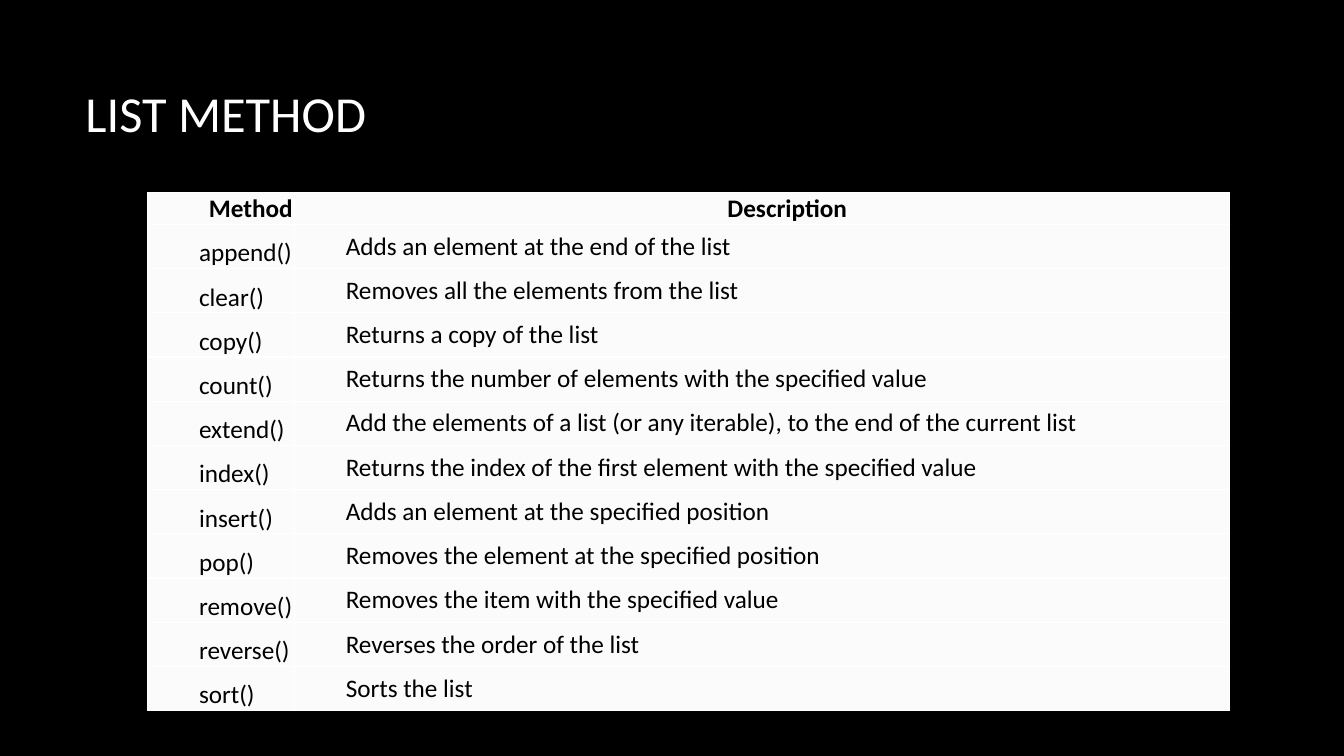
from dataclasses import dataclass

from lxml import etree
from pptx import Presentation
from pptx.dml.color import RGBColor
from pptx.enum.text import MSO_ANCHOR, PP_ALIGN
from pptx.oxml.ns import qn
from pptx.util import Pt

TOP, MIDDLE, BOTTOM = MSO_ANCHOR.TOP, MSO_ANCHOR.MIDDLE, MSO_ANCHOR.BOTTOM
LEFT, CENTER = PP_ALIGN.LEFT, PP_ALIGN.CENTER


@dataclass(frozen=True)
class Theme:
    """Colours, font and type sizes of the slide."""
    background: str = "000000"
    title: str = "FFFFFF"
    text: str = "000000"
    cell: str = "FBFBFB"
    border: str = "FFFFFF"
    font: str = "Calibri"
    title_size: float = 36
    table_size: float = 18


THEME = Theme()
HEADINGS = ("Method", "Description")
METHODS = (
    ("append()", "Adds an element at the end of the list"),
    ("clear()", "Removes all the elements from the list"),
    ("copy()", "Returns a copy of the list"),
    ("count()", "Returns the number of elements with the specified value"),
    ("extend()", "Add the elements of a list (or any iterable), to the end of the current list"),
    ("index()", "Returns the index of the first element with the specified value"),
    ("insert()", "Adds an element at the specified position"),
    ("pop()", "Removes the element at the specified position"),
    ("remove()", "Removes the item with the specified value"),
    ("reverse()", "Reverses the order of the list"),
    ("sort()", "Sorts the list"),
)
COLUMN_WIDTHS = (104.8, 668)
HEADER_HEIGHT, ROW_HEIGHT = 23, 31.6
INDENT = 36


def write_text(frame, text, *, size, color, bold=False, align=LEFT, indent=0):
    """Write one formatted paragraph into a text frame."""
    paragraph = frame.paragraphs[0]
    paragraph.alignment = align
    if indent:
        paragraph.level = 1
        properties = paragraph._p.get_or_add_pPr()
        properties.set("marL", str(Pt(indent)))
        properties.set("indent", "0")
    run = paragraph.add_run()
    run.text = text
    run.font.name = THEME.font
    run.font.size = Pt(size)
    run.font.bold = bold
    run.font.color.rgb = RGBColor.from_string(color)


def add_title(slide, text):
    """Add the slide title, centred vertically in its box."""
    title = slide.shapes.add_textbox(Pt(54), Pt(23), Pt(798), Pt(114.5))
    title.text_frame.word_wrap = True
    title.text_frame.vertical_anchor = MIDDLE
    write_text(title.text_frame, text, size=THEME.title_size, color=THEME.title)


def set_borders(cell):
    """Draw a thin line on all four sides of a cell."""
    properties = cell._tc.get_or_add_tcPr()
    for side in ("lnL", "lnR", "lnT", "lnB"):
        line = etree.SubElement(properties, qn(f"a:{side}"), w=str(Pt(1)))
        fill = etree.SubElement(line, qn("a:solidFill"))
        etree.SubElement(fill, qn("a:srgbClr"), val=THEME.border)


def fill_cell(cell, text, margins, anchor=TOP, **text_format):
    """Set text, margins, borders and fill of a cell."""
    (cell.margin_left, cell.margin_top,
     cell.margin_right, cell.margin_bottom) = map(Pt, margins)
    cell.vertical_anchor = anchor
    set_borders(cell)
    cell.fill.solid()
    cell.fill.fore_color.rgb = RGBColor.from_string(THEME.cell)
    write_text(cell.text_frame, text, size=THEME.table_size, color=THEME.text,
               indent=INDENT, **text_format)


def add_method_table(slide):
    """Add the table of list methods and their descriptions."""
    height = HEADER_HEIGHT + ROW_HEIGHT * len(METHODS)
    table = slide.shapes.add_table(
        len(METHODS) + 1, len(HEADINGS), Pt(105.5), Pt(137.3),
        Pt(sum(COLUMN_WIDTHS)), Pt(height)).table
    table.first_row = table.horz_banding = False
    for column, width in zip(table.columns, COLUMN_WIDTHS):
        column.width = Pt(width)
    for index, row in enumerate(table.rows):
        row.height = Pt(ROW_HEIGHT if index else HEADER_HEIGHT)

    tight, roomy = (0.7, 0.7, 0.7, 0), (0.7, 4.8, 0.7, 4.8)
    header_margins = ((7.2, 0.7, 0.7, 0), tight)
    for index, (heading, margins) in enumerate(zip(HEADINGS, header_margins)):
        fill_cell(table.cell(0, index), heading, margins, bold=True, align=CENTER)
    for index, (method, description) in enumerate(METHODS, start=1):
        fill_cell(table.cell(index, 0), method, tight, BOTTOM)
        fill_cell(table.cell(index, 1), description, roomy)


def main():
    """Build and save the slide."""
    deck = Presentation()
    deck.slide_width, deck.slide_height = Pt(960), Pt(540)
    slide = deck.slides.add_slide(deck.slide_layouts[6])
    slide.background.fill.solid()
    slide.background.fill.fore_color.rgb = RGBColor.from_string(THEME.background)
    add_title(slide, "LIST METHOD")
    add_method_table(slide)
    deck.save("out.pptx")


main()
